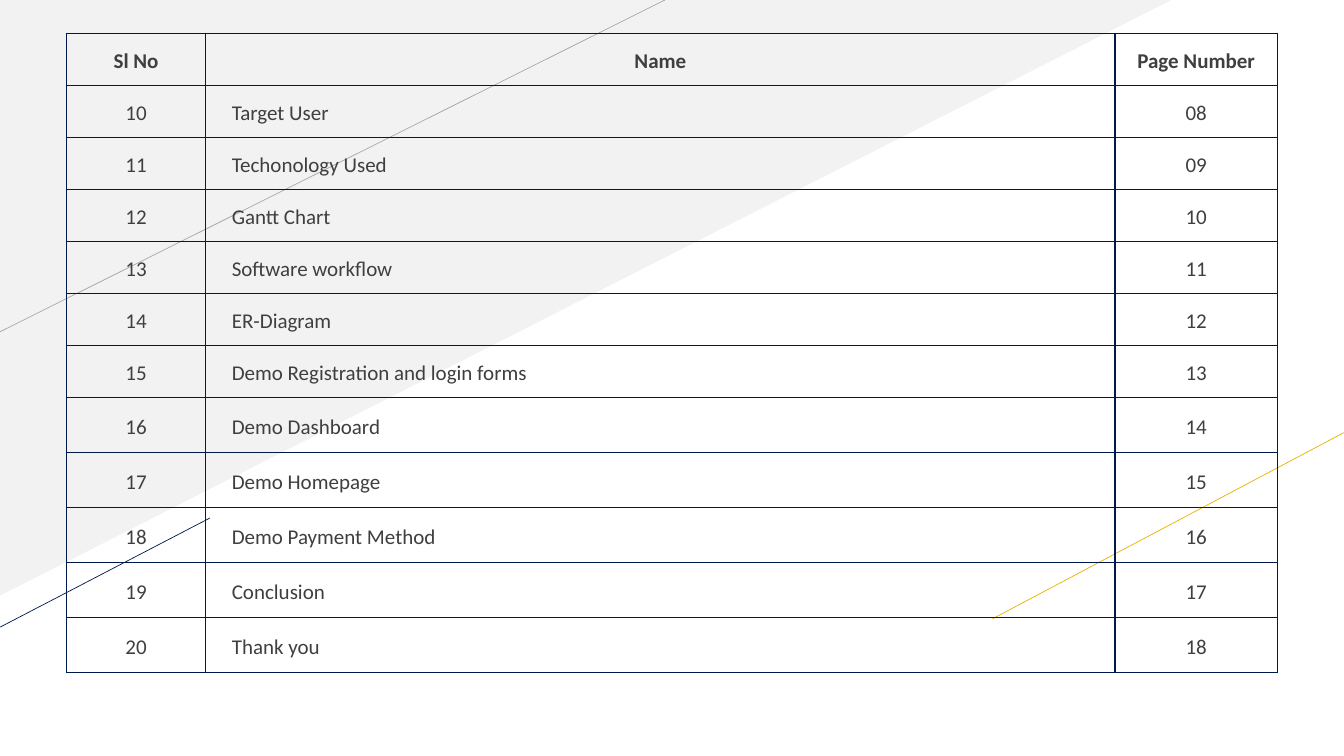
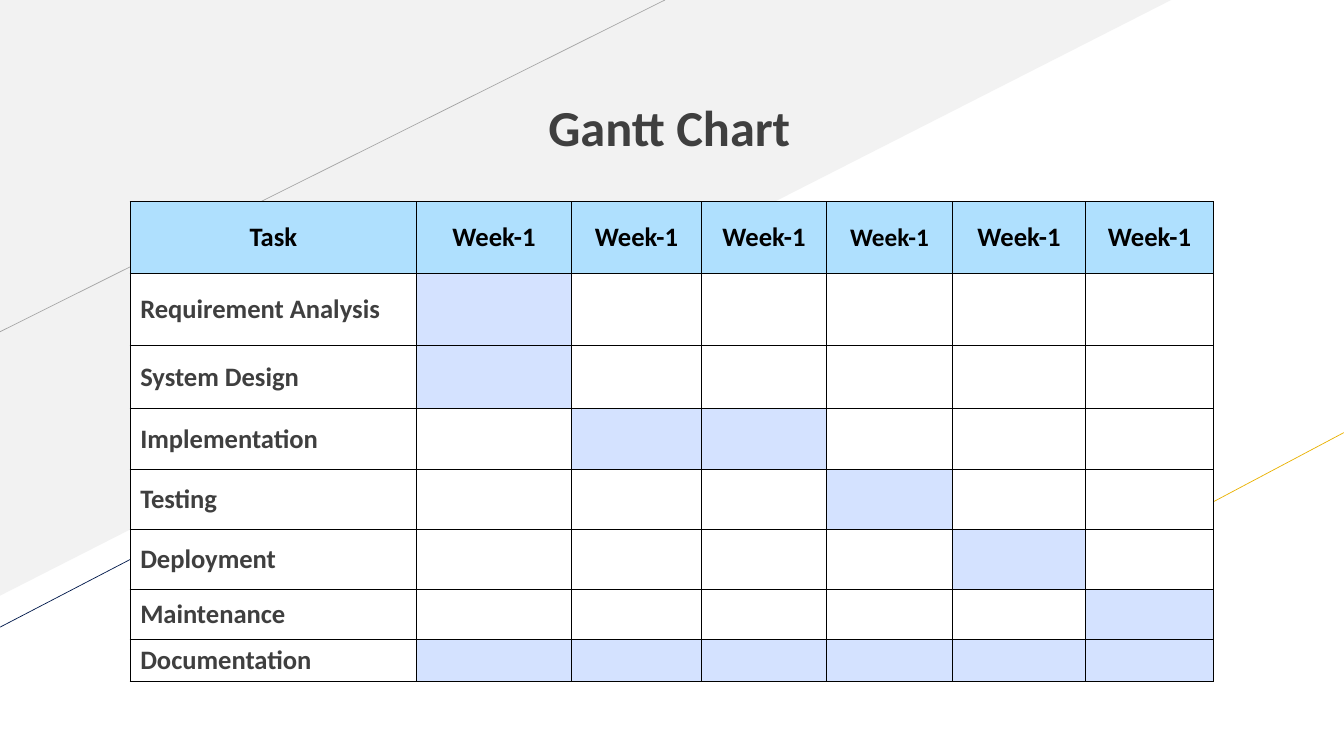
"""Build a contents slide and a Gantt chart slide over a shared backdrop."""
from itertools import count, product

from lxml.etree import SubElement
from pptx import Presentation
from pptx.dml.color import RGBColor
from pptx.enum.shapes import MSO_CONNECTOR as CONN, MSO_SHAPE as SHAPE
from pptx.enum.text import MSO_ANCHOR as ANCHOR, MSO_AUTO_SIZE as AUTO, PP_ALIGN as ALIGN
from pptx.oxml import parse_xml
from pptx.oxml.ns import nsdecls, qn
from pptx.util import Pt

FONT = "Calibri"
COLORS = {
    "text": "3F3F3F",
    "black": "000000",
    "white": "FFFFFF",
    "wedge": "F2F2F2",
    "grey": "A6A6A6",
    "gold": "EAB200",
    "navy": "00194C",
    "header": "AFE0FE",
    "bar": "D4E2FF",
}
BACKDROP_LINES = [
    ("grey", (0, 237), (475, 0)),
    ("gold", (709, 442), (960, 309)),
    ("navy", (0, 448), (150, 370)),
]
CONTENTS = [
    "Target User",
    "Techonology Used",
    "Gantt Chart",
    "Software workflow",
    "ER-Diagram",
    "Demo Registration and login forms",
    "Demo Dashboard",
    "Demo Homepage",
    "Demo Payment Method",
    "Conclusion",
    "Thank you",
]
FIRST_ITEM, FIRST_PAGE = 10, 8
WEEKS = 6
TASKS = {
    "Requirement Analysis": [1],
    "System Design": [1],
    "Implementation": [2, 3],
    "Testing": [4],
    "Deployment": [5],
    "Maintenance": [6],
    "Documentation": range(1, WEEKS + 1),
}


def rgb(name):
    """Return the named colour."""
    return RGBColor.from_string(COLORS[name])


def style_text(p, size, color, bold, align=ALIGN.LEFT):
    """Format a paragraph and its runs."""
    p.alignment = align
    for r in p.runs:
        r.font.name = FONT
        r.font.size = Pt(size)
        r.font.bold = bold
        r.font.color.rgb = rgb(color)


def add_wedge(s):
    """Add the grey triangle in the top left corner."""
    sp = s.shapes.add_shape(SHAPE.RIGHT_TRIANGLE, 0, 0, Pt(836.6), Pt(425.5))
    sp.shadow.inherit = False
    sp.fill.solid()
    sp.fill.fore_color.rgb = rgb("wedge")
    sp.line.fill.background()
    sp._element.spPr.find(qn("a:xfrm")).set("flipV", "1")
    return sp


def add_line(s, color, start, end):
    """Add a thin straight line."""
    ends = [Pt(v) for v in start + end]
    sp = s.shapes.add_connector(CONN.STRAIGHT, *ends)
    sp.line.color.rgb = rgb(color)
    sp.line.width = Pt(0.5)
    SubElement(sp._element.spPr, qn("a:effectLst"))
    return sp


def set_backdrop(prs, s):
    """Draw the backdrop on a slide and move it to the slide master."""
    shapes = [add_wedge(s)] + [add_line(s, *line) for line in BACKDROP_LINES]
    master = prs.slide_master.shapes
    new_ids = count(max(sp.shape_id for sp in master) + 1)
    for i, sp in enumerate(shapes):
        sp._element.xpath(".//p:cNvPr")[0].set("id", str(next(new_ids)))
        master._spTree.insert(2 + i, sp._element)


def add_title(s, text, left, top, width, height):
    """Place and format the title placeholder."""
    sp = s.shapes.title
    sp.left, sp.top, sp.width, sp.height = Pt(left), Pt(top), Pt(width), Pt(height)
    tf = sp.text_frame
    tf.text = text
    tf.auto_size = AUTO.NONE
    tf.vertical_anchor = ANCHOR.MIDDLE
    style_text(tf.paragraphs[0], 36, "text", True)


def add_grid(s, left, top, widths, heights, border):
    """Add a plain bordered table and return it."""
    frame = s.shapes.add_table(len(heights), len(widths), Pt(left), Pt(top),
                               Pt(sum(widths)), Pt(sum(heights)))
    table = frame.table
    table.first_row = table.horz_banding = False
    for col, width in zip(table.columns, widths):
        col.width = Pt(width)
    for row, height in zip(table.rows, heights):
        row.height = Pt(height)
    for cell in table.iter_cells():
        set_borders(cell, border)
    return table


def set_borders(cell, color):
    """Draw a one point line on every side of a cell."""
    tcPr = cell._tc.get_or_add_tcPr()
    for side in "LRTB":
        tcPr.append(parse_xml(
            f'<a:ln{side} {nsdecls("a")} w="{Pt(1)}"><a:solidFill>'
            f'<a:srgbClr val="{COLORS[color]}"/></a:solidFill></a:ln{side}>'))


def set_margins(cell, left, top, right, bottom):
    """Set the four cell margins."""
    cell.margin_left, cell.margin_top = Pt(left), Pt(top)
    cell.margin_right, cell.margin_bottom = Pt(right), Pt(bottom)


def add_contents(s):
    """Add the table of contents."""
    rows = [("Sl No", "Name", "Page Number")]
    rows += [(str(FIRST_ITEM + i), name, f"{FIRST_PAGE + i:02}")
             for i, name in enumerate(CONTENTS)]
    heights = [37.15] * 7 + [39.3] * 5
    table = add_grid(s, 47.5, 23.8, [99.4, 649.6, 115.9], heights, "navy")
    for i, j in product(range(len(rows)), range(3)):
        cell = table.cell(i, j)
        is_name = i > 0 and j == 1
        cell.fill.background()
        set_margins(cell, 18.7 if is_name else 3.6, 10.8 if i < 7 else 12.2, 3.6, 2.2)
        cell.text_frame.text = rows[i][j]
        style_text(cell.text_frame.paragraphs[0], 15, "text", i == 0,
                   ALIGN.LEFT if is_name else ALIGN.CENTER)


def add_gantt(s):
    """Add the Gantt chart as a table with filled cells."""
    widths = [204.5, 110.7, 92.9, 89.3, 90, 95, 91.4]
    heights = [51.4, 51.4, 45, 43.6, 42.9, 42.9, 35.4, 30.4]
    table = add_grid(s, 93, 144, widths, heights, "black")
    for j, text in enumerate(["Task"] + ["Week-1"] * WEEKS):
        fill_gantt_cell(table.cell(0, j), "header", text, "black",
                        18 if j == 4 else 19, ALIGN.CENTER)
    for i, (task, weeks) in enumerate(TASKS.items(), 1):
        fill_gantt_cell(table.cell(i, 0), "white", task)
        for j in range(1, WEEKS + 1):
            fill_gantt_cell(table.cell(i, j), "bar" if j in weeks else "white")


def fill_gantt_cell(cell, fill, text="", color="text", size=19, align=ALIGN.LEFT):
    """Fill one Gantt cell and write its bold text."""
    cell.fill.solid()
    cell.fill.fore_color.rgb = rgb(fill)
    cell.vertical_anchor = ANCHOR.MIDDLE
    set_margins(cell, 7.2, 3.6, 7.2, 3.6)
    if text:
        cell.text_frame.text = text
        style_text(cell.text_frame.paragraphs[0], size, color, True, align)


def main():
    """Build and save the presentation."""
    prs = Presentation()
    prs.slide_width, prs.slide_height = Pt(960), Pt(540)
    title_only, blank = prs.slide_layouts[5], prs.slide_layouts[6]

    s = prs.slides.add_slide(blank)
    set_backdrop(prs, s)
    add_contents(s)

    s = prs.slides.add_slide(title_only)
    add_title(s, "Gantt Chart", 384.5, 64.8, 191.5, 51.1)
    add_gantt(s)

    prs.save("out.pptx")


if __name__ == "__main__":
    main()
